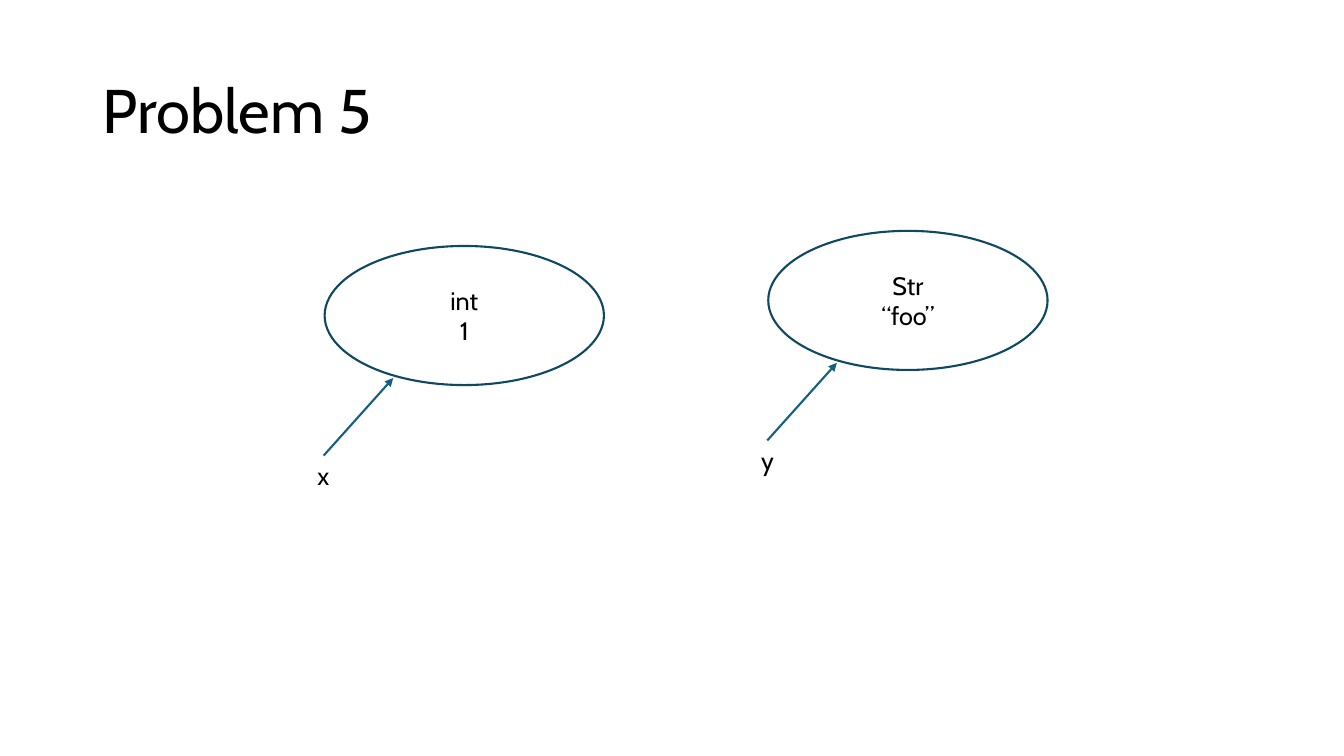
from lxml.etree import SubElement
from pptx import Presentation
from pptx.dml.color import RGBColor
from pptx.enum.shapes import MSO_CONNECTOR, MSO_SHAPE
from pptx.enum.text import MSO_ANCHOR, MSO_AUTO_SIZE, PP_ALIGN
from pptx.oxml.ns import qn
from pptx.util import Inches, Pt

FONT = "Cabin"
COLORS = {"text": "000000", "fill": "FFFFFF", "outline": "104862", "arrow": "156082"}
LINE_WIDTH = Pt(1.5)
OBJECT_SIZE = (2.77, 1.38)

# Left and top of each diagram, variable name, lines in the object
DIAGRAMS = [
    (3.05, 2.44, "x", ["int", "1"]),
    (7.45, 2.29, "y", ["Str", "“foo”"]),
]


def color(name):
    return RGBColor.from_string(COLORS[name])


def add_text(paragraph, text, size, alignment=PP_ALIGN.LEFT):
    paragraph.alignment = alignment
    run = paragraph.add_run()
    run.text = text
    run.font.name = FONT
    run.font.size = Pt(size)
    run.font.color.rgb = color("text")


def add_title(slide, text, left, top, width, height):
    title = slide.shapes.title
    title.left, title.top = Inches(left), Inches(top)
    title.width, title.height = Inches(width), Inches(height)
    title.text_frame.vertical_anchor = MSO_ANCHOR.MIDDLE
    paragraph = title.text_frame.paragraphs[0]
    paragraph.line_spacing = 0.9
    add_text(paragraph, text, 44)


def add_object(slide, lines, left, top):
    width, height = OBJECT_SIZE
    ellipse = slide.shapes.add_shape(
        MSO_SHAPE.OVAL, Inches(left), Inches(top), Inches(width), Inches(height))
    ellipse.shadow.inherit = False
    ellipse.fill.solid()
    ellipse.fill.fore_color.rgb = color("fill")
    ellipse.line.color.rgb = color("outline")
    ellipse.line.width = LINE_WIDTH
    frame = ellipse.text_frame
    frame.vertical_anchor = MSO_ANCHOR.MIDDLE
    for index, line in enumerate(lines):
        paragraph = frame.add_paragraph() if index else frame.paragraphs[0]
        add_text(paragraph, line, 18, PP_ALIGN.CENTER)


def add_label(slide, name, left, top):
    label = slide.shapes.add_textbox(
        Inches(left), Inches(top), Inches(0.32), Inches(0.4))
    label.text_frame.word_wrap = False
    label.text_frame.auto_size = MSO_AUTO_SIZE.SHAPE_TO_FIT_TEXT
    add_text(label.text_frame.paragraphs[0], name, 18)


def add_arrow(slide, start, end):
    points = [Inches(value) for value in (*start, *end)]
    arrow = slide.shapes.add_connector(MSO_CONNECTOR.STRAIGHT, *points)
    arrow.line.color.rgb = color("arrow")
    arrow.line.width = LINE_WIDTH
    SubElement(arrow.line._get_or_add_ln(), qn("a:tailEnd"), type="triangle")
    SubElement(arrow._element.spPr, qn("a:effectLst"))


def add_diagram(slide, left, top, name, lines):
    label_top = top + 2.08
    add_object(slide, lines, left + 0.17, top)
    add_label(slide, name, left, label_top)
    add_arrow(slide, (left + 0.16, label_top), (left + 0.85, top + 1.31))


def main():
    presentation = Presentation()
    presentation.slide_width = Inches(13.33)
    presentation.slide_height = Inches(7.5)
    title_only = presentation.slide_layouts[5]
    slide = presentation.slides.add_slide(title_only)
    add_title(slide, "Problem 5", 0.92, 0.4, 11.5, 1.45)
    for left, top, name, lines in DIAGRAMS:
        add_diagram(slide, left, top, name, lines)
    presentation.save("out.pptx")


if __name__ == "__main__":
    main()
